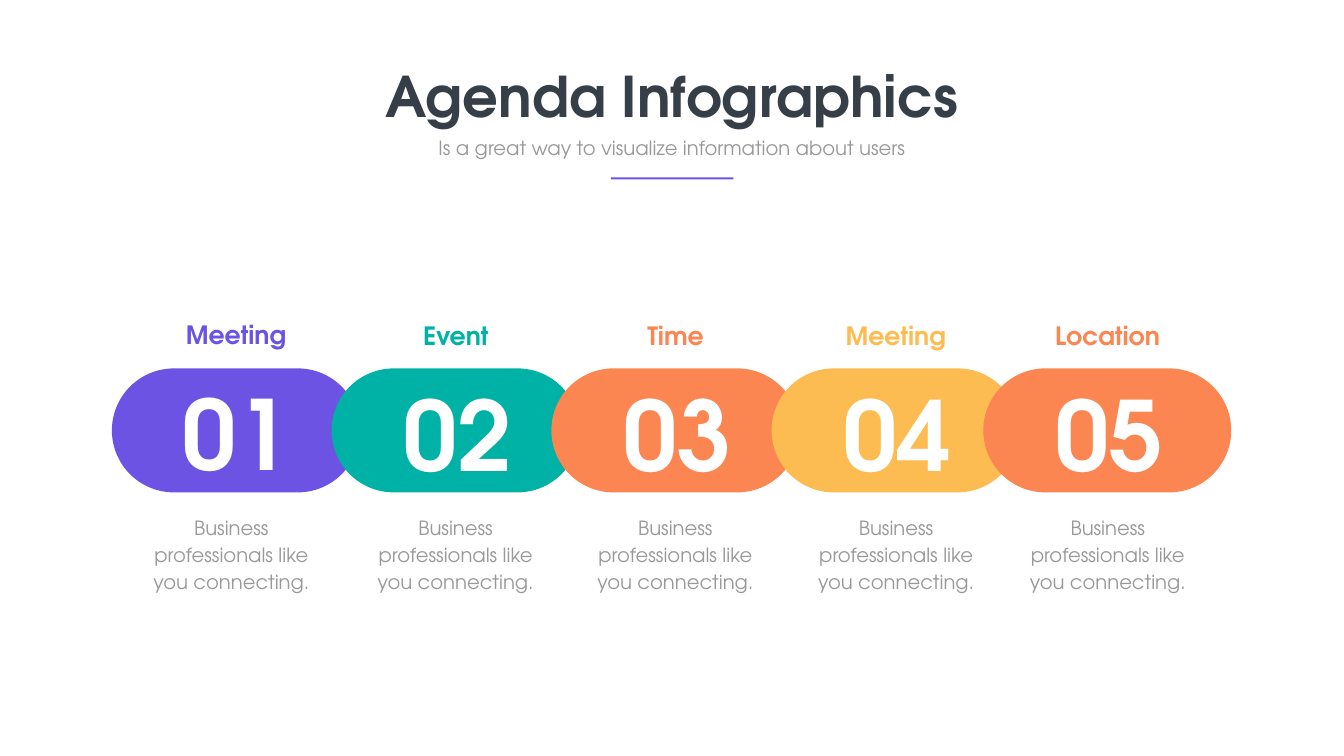
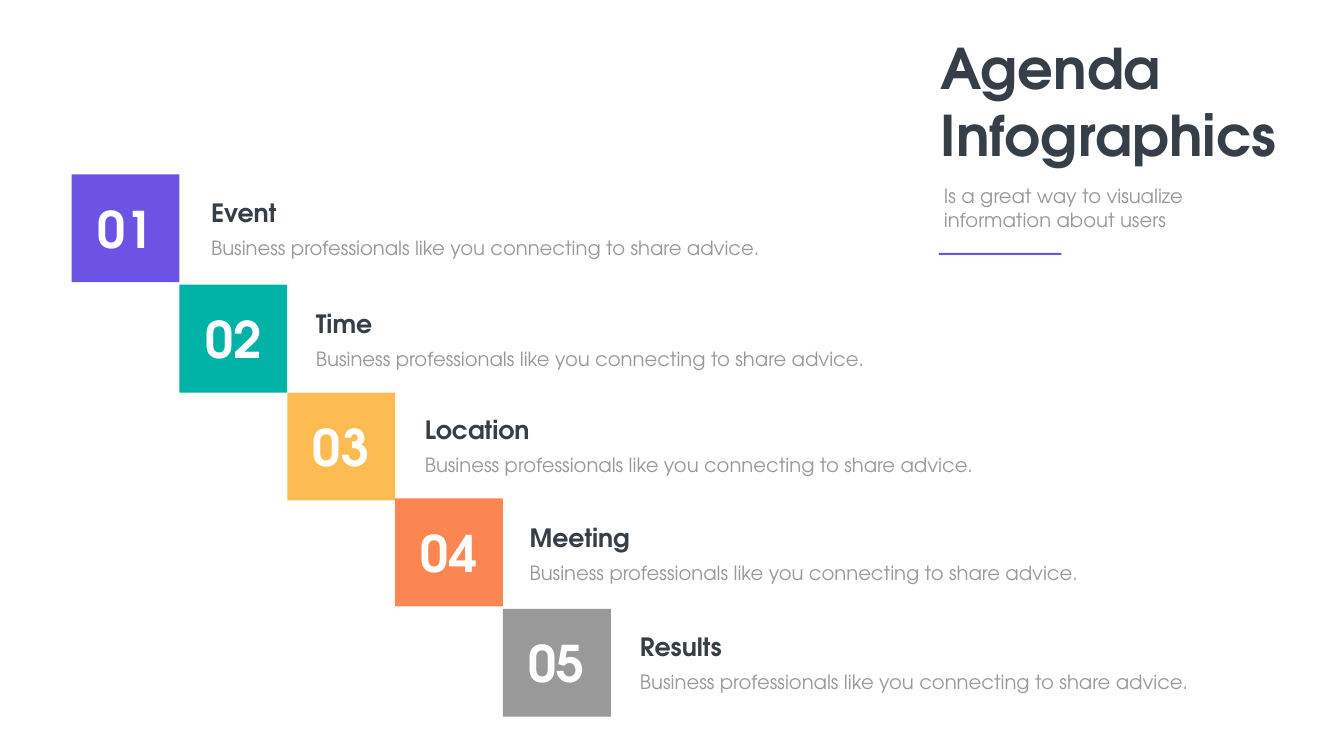
from pptx import Presentation
from pptx import util as u
from pptx.dml.color import RGBColor
from pptx.enum import shapes, text

COLS, ROWS = 160, 90
FONT = "TeX Gyre Adventor"
WHITE = RGBColor(0xFF, 0xFF, 0xFF)
INK = RGBColor(0x36, 0x3E, 0x48)
GREY = RGBColor(0x99, 0x99, 0x99)
ASH = RGBColor(0x98, 0x99, 0x98)
VIOLET = RGBColor(0x6C, 0x53, 0xE4)
TEAL = RGBColor(0x00, 0xB2, 0xA6)
ORANGE = RGBColor(0xFB, 0x86, 0x52)
AMBER = RGBColor(0xFC, 0xBC, 0x52)

LEFT, CENTER = text.PP_ALIGN.LEFT, text.PP_ALIGN.CENTER
RECT = shapes.MSO_SHAPE.RECTANGLE
PILL = shapes.MSO_SHAPE.ROUNDED_RECTANGLE


class Deck:
    """Draws styled elements on the current slide; lengths are grid columns and rows."""

    def __init__(self):
        self.prs = Presentation()
        self.prs.slide_width = u.Inches(26.67)
        self.prs.slide_height = u.Inches(15)
        self.s = None

    def new_slide(self):
        self.s = self.prs.slides.add_slide(self.prs.slide_layouts[6])

    def box(self, x, y, w, h):
        col, row = self.prs.slide_width / COLS, self.prs.slide_height / ROWS
        return round(x * col), round(y * row), round(w * col), round(h * row)

    def set_text(self, sp, words, size, color, bold, align, leading=None):
        tf = sp.text_frame
        tf.text = words
        for p in tf.paragraphs:
            p.alignment = align
            if leading:
                p.line_spacing = u.Pt(leading)
            for r in p.runs:
                r.font.name, r.font.size = FONT, u.Pt(size)
                r.font.bold, r.font.color.rgb = bold, color

    def label(self, at, words, size, color, bold=False, align=CENTER,
              leading=None, wrap=True):
        sp = self.s.shapes.add_textbox(*self.box(*at))
        self.set_text(sp, words, size, color, bold, align, leading)
        sp.text_frame.word_wrap = wrap
        sp.text_frame.auto_size = text.MSO_AUTO_SIZE.SHAPE_TO_FIT_TEXT

    def heading(self, at, words, color, align=CENTER):
        self.label(at, words, 36, color, True, align)

    def body(self, at, words, align=CENTER):
        self.label(at, words, 28, GREY, align=align, leading=38.6)

    def block(self, kind, at, fill):
        sp = self.s.shapes.add_shape(kind, *self.box(*at))
        sp.shadow.inherit = False
        sp.fill.solid()
        sp.fill.fore_color.rgb = fill
        sp.line.fill.background()
        if kind == PILL:
            sp.adjustments[0] = 0.5
        return sp

    def numbered_square(self, at, number, fill):
        sp = self.block(RECT, at, fill)
        self.set_text(sp, number, 72, WHITE, True, CENTER)
        sp.text_frame.vertical_anchor = text.MSO_ANCHOR.MIDDLE

    def title(self, title_at, words, subtitle_at, rule_at, align, wrap):
        self.label(title_at, words, 80, INK, True, align, wrap=wrap)
        self.label(subtitle_at, "Is a great way to visualize information about users",
                   28, GREY, align=align)
        self.block(RECT, (*rule_at, 14.58, 0.24), VIOLET)


def pill_chain(deck):
    deck.new_slide()
    deck.title((44.82, 7.02, 70.32, 8.7), "Agenda Infographics",
               (51.3, 15.9, 57.36, 3.42), (72.72, 21.12), CENTER, False)
    # name, colour, pill left, body offset, lift of the first item's text
    steps = [
        ("Meeting", VIOLET, 13.32, 2.28, 0.15),
        ("Event", TEAL, 39.48, 2.82, 0),
        ("Time", ORANGE, 65.64, 2.82, 0),
        ("Meeting", AMBER, 91.86, 2.88, 0),
        ("Location", ORANGE, 117.06, 2.88, 0),
    ]
    for n, (name, color, x, body_dx, lift) in enumerate(steps, 1):
        deck.block(PILL, (x, 43.86, 29.52, 14.76), color)
        deck.label((x + 5.68 - lift, 44.34 - lift, 18.72, 14.52), f"{n:02}", 138, WHITE, True)
        deck.heading((x + 2.85, 37.86 - lift, 23.88, 4.26), name, color)
        deck.body((x + body_dx, 60.66, 23.88, 10.14),
                  "Business professionals like you connecting.")


def staircase(deck):
    deck.new_slide()
    side = 12.84
    # name, colour, square top, text left, heading top
    steps = [
        ("Event", VIOLET, 20.76, 24.54, 23.22),
        ("Time", TEAL, 33.9, 37.02, 36.36),
        ("Location", AMBER, 46.74, 49.98, 49.02),
        ("Meeting", ORANGE, 59.34, 62.46, 61.92),
        ("Results", ASH, 72.48, 75.6, 74.88),
    ]
    for i, (name, color, top, x, y) in enumerate(steps):
        deck.numbered_square((8.52 + i * side, top, side, side), f"{i + 1:02}", color)
        deck.heading((x, y, 29.34, 4.26), name, INK, LEFT)
        deck.body((x, y + 4.2, 69.72, 3.6),
                  "Business professionals like you connecting to share advice.", LEFT)
    deck.title((111.36, 3.72, 41.64, 16.74), "Agenda\nInfographics",
               (111.78, 21.6, 31.38, 6.24), (111.78, 30.12), LEFT, True)


def main():
    deck = Deck()
    pill_chain(deck)
    staircase(deck)
    deck.prs.save("out.pptx")


if __name__ == "__main__":
    main()
